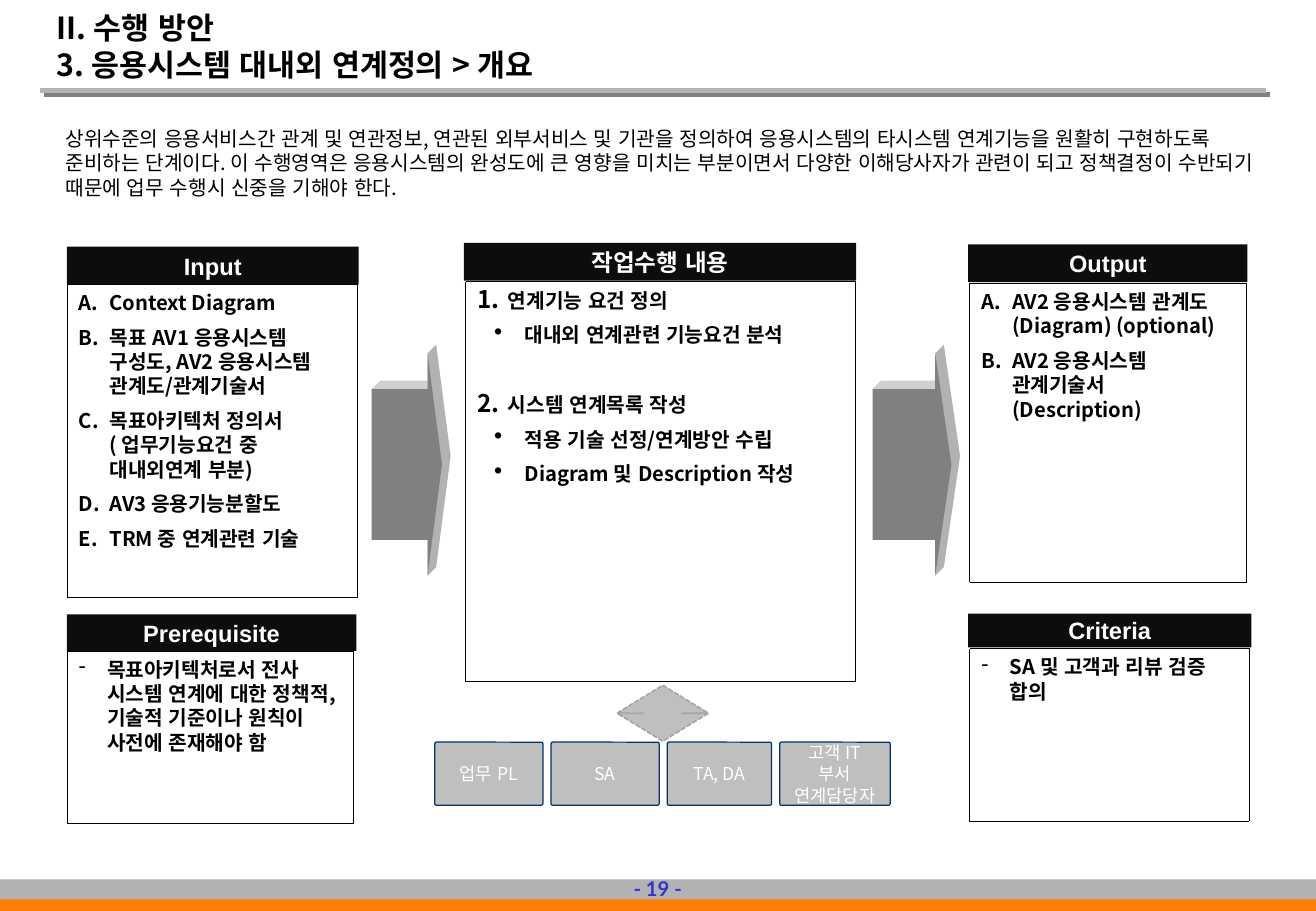
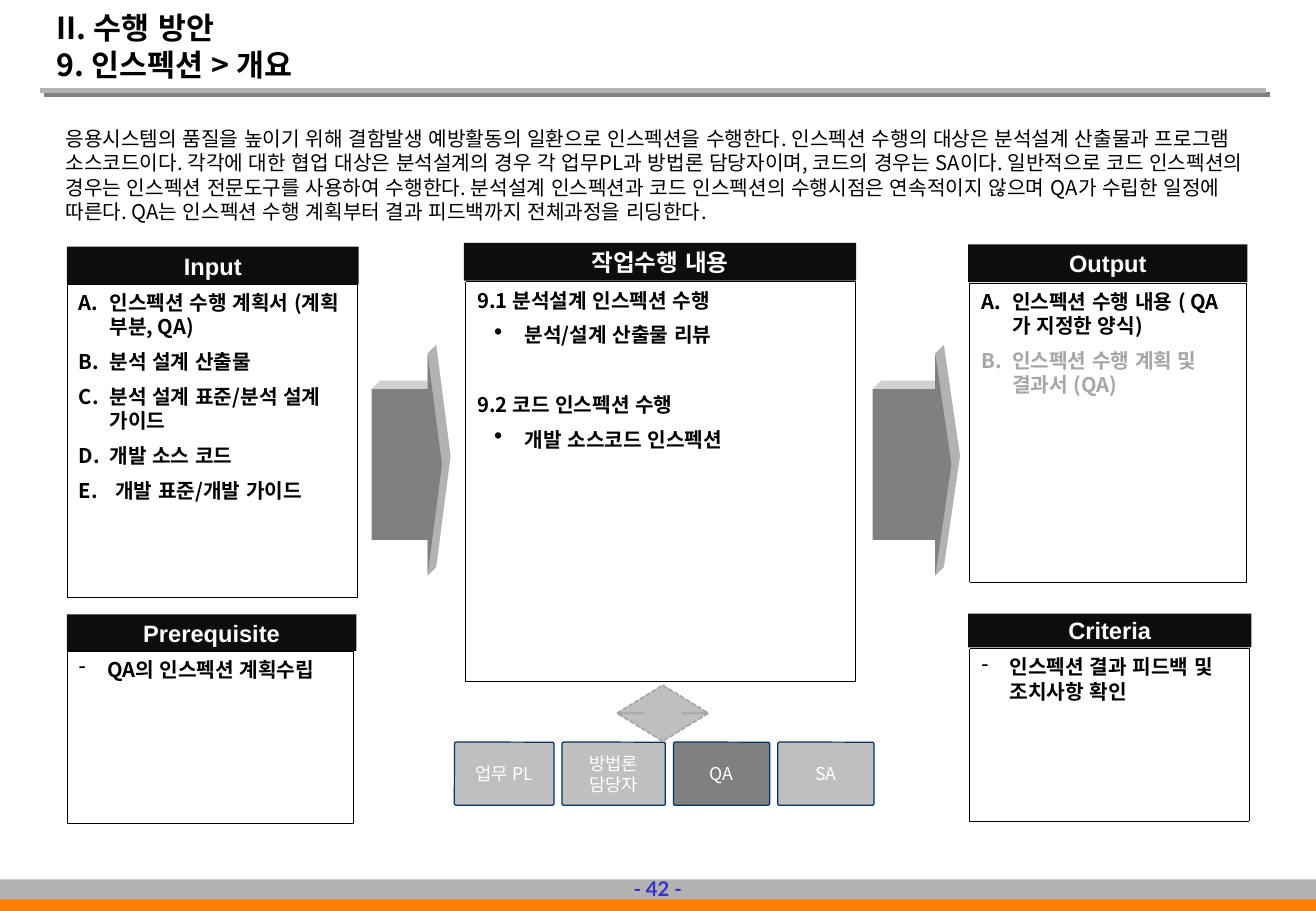
"""Build two overview slides that share one input, work and output frame."""
from dataclasses import dataclass

from lxml import etree
from pptx import Presentation
from pptx import util as u
from pptx.dml.color import RGBColor
from pptx.enum import dml, lang, shapes, text
from pptx.oxml import ns

SLIDES = [
    {
        "page": 19,
        "title": ["II. 수행 방안", "3. 응용시스템 대내외 연계정의 > 개요"],
        "summary": "상위수준의 응용서비스간 관계 및 연관정보, 연관된 외부서비스 및 기관을 정의하여 "
                   "응용시스템의 타시스템 연계기능을 원활히 구현하도록 준비하는 단계이다. "
                   "이 수행영역은 응용시스템의 완성도에 큰 영향을 미치는 부분이면서 다양한 이해당사자가 "
                   "관련이 되고 정책결정이 수반되기 때문에 업무 수행시 신중을 기해야 한다.",
        "작업수행 내용": [
            ("number", "연계기능 요건 정의"),
            ("bullet", "대내외 연계관련 기능요건 분석"),
            ("number", "시스템 연계목록 작성"),
            ("bullet", "적용 기술 선정/연계방안 수립"),
            ("bullet", "Diagram 및 Description 작성"),
        ],
        "Input": [
            ("letter", "Context Diagram"),
            ("letter", "목표 AV1 응용시스템 구성도, AV2 응용시스템 관계도/관계기술서"),
            ("letter", "목표아키텍처 정의서( 업무기능요건 중 대내외연계 부분)"),
            ("letter", "AV3 응용기능분할도"),
            ("letter", "TRM 중 연계관련 기술"),
        ],
        "Output": [
            ("letter", "AV2 응용시스템 관계도(Diagram) (optional)"),
            ("letter", "AV2 응용시스템 관계기술서(Description)"),
        ],
        "Prerequisite": [
            ("dash", "목표아키텍처로서 전사 시스템 연계에 대한 정책적, 기술적 기준이나 원칙이 사전에 존재해야 함"),
        ],
        "Criteria": [("dash", "SA 및 고객과 리뷰 검증 합의")],
        "roles_left": 9.09,
        "roles": [(2.26, ["업무 PL"]), (2.26, ["SA"]), (2.18, ["TA, DA"]),
                  (2.31, ["고객 IT부서", "연계담당자"])],
        "lead_role": None,
    },
    {
        "page": 42,
        "title": ["II. 수행 방안", "9. 인스펙션 > 개요"],
        "summary": "응용시스템의 품질을 높이기 위해 결함발생 예방활동의 일환으로 인스펙션을 수행한다. "
                   "인스펙션 수행의 대상은 분석설계 산출물과 프로그램 소스코드이다. "
                   "각각에 대한 협업 대상은 분석설계의 경우 각 업무PL과 방법론 담당자이며, "
                   "코드의 경우는 SA이다. 일반적으로 코드 인스펙션의 경우는 인스펙션 전문도구를 "
                   "사용하여 수행한다. 분석설계 인스펙션과 코드 인스펙션의 수행시점은 연속적이지 않으며 "
                   "QA가 수립한 일정에 따른다. QA는 인스펙션 수행 계획부터 결과 피드백까지 "
                   "전체과정을 리딩한다.",
        "작업수행 내용": [
            ("heading", "9.1 분석설계 인스펙션 수행"),
            ("bullet", "분석/설계 산출물 리뷰"),
            ("heading", "9.2 코드 인스펙션 수행"),
            ("bullet", "개발 소스코드 인스펙션"),
        ],
        "Input": [
            ("letter", "인스펙션 수행 계획서 (계획 부분, QA)"),
            ("letter", "분석 설계 산출물"),
            ("letter", "분석 설계 표준/분석 설계 가이드"),
            ("letter", "개발 소스 코드"),
            ("letter", " 개발 표준/개발 가이드"),
        ],
        "Output": [
            ("letter", "인스펙션 수행 내용 ( QA가 지정한 양식)"),
            ("muted letter", "인스펙션 수행 계획 및 결과서 (QA)"),
        ],
        "Prerequisite": [("dash", "QA의 인스펙션 계획수립")],
        "Criteria": [("dash", "인스펙션 결과 피드백 및 조치사항 확인")],
        "roles_left": 9.5,
        "roles": [(2.08, ["업무 PL"]), (2.16, ["방법론", "담당자"]), (2.01, ["QA"]), (2.01, ["SA"])],
        "lead_role": "QA",
    },
]

PANELS = {
    "작업수행 내용": ((9.7, 5.08, 8.2, 0.79), (9.73, 5.89, 8.15, 8.36)),
    "Input": ((1.4, 5.16, 6.1, 0.79), (1.4, 5.94, 6.07, 6.55)),
    "Output": ((20.24, 5.11, 5.84, 0.79), (20.27, 5.92, 5.79, 6.25)),
    "Prerequisite": ((1.4, 12.85, 6.05, 0.76), (1.4, 13.61, 5.99, 3.61)),
    "Criteria": ((20.24, 12.83, 5.92, 0.71), (20.27, 13.56, 5.84, 3.61)),
}
FLOW_ARROWS = [(7.77, 7.39, 1.47, 4.65), (18.24, 7.39, 1.65, 4.65)]

LIST_STYLES = {
    "number": (0, 0.64, 0.64, 120, "buAutoNum", {"type": "arabicPeriod"}),
    "letter": (0, 0.64, 0.64, 100, "buAutoNum", {"type": "alphaUcPeriod"}),
    "heading": (0, 0.64, 0.64, 100, "buNone", {}),
    "bullet": (1, 0.99, 0.64, 120, "buChar", {"char": "•"}),
    "dash": (0, 0.59, 0.59, 100, "buChar", {"char": "-"}),
}


@dataclass(frozen=True)
class Theme:
    """Colours, fonts and type sizes."""
    ink: str = "000000"
    white: str = "FFFFFF"
    header: str = "0D0D0D"
    band: str = "B2B2B2"
    accent: str = "FF7D00"
    page: str = "3333CC"
    dark: str = "808080"
    light: str = "D0D0D0"
    role: str = "BFBFBF"
    role_line: str = "003366"
    muted: str = "A6A6A6"
    korean: str = "Noto Sans CJK KR"
    latin: str = "Arial"
    number: str = "Lato"
    title_size: float = 18
    header_size: float = 14
    body_size: float = 12
    role_size: float = 10.5
    leading: float = 1.2
    gap: float = 6.2


THEME = Theme()
SLIDE_WIDTH, SLIDE_HEIGHT = 27.51, 19.05
ROLE_TOP, ROLE_HEIGHT, ROLE_GAP = 15.52, 1.32, 0.17
ARROW_DEPTH, ARROW_SHAFT, ARROW_HEAD = 0.18, 0.678, 0.205
RECTANGLE = shapes.MSO_SHAPE.RECTANGLE
CENTER = text.PP_ALIGN.CENTER
MIDDLE = text.MSO_ANCHOR.MIDDLE


def color(value):
    return RGBColor.from_string(value)


def lengths(values):
    return [u.Cm(value) for value in values]


def paint(shape, fill=None, line=None, width=0.25, dash=None):
    shape.shadow.inherit = False
    if fill:
        shape.fill.solid()
        shape.fill.fore_color.rgb = color(fill)
    else:
        shape.fill.background()
    if line:
        shape.line.color.rgb = color(line)
        shape.line.width = u.Pt(width)
        shape.line.dash_style = dash
    else:
        shape.line.fill.background()
    return shape


def add_box(slide, kind, box, adjustments=(), **style):
    shape = slide.shapes.add_shape(kind, *lengths(box))
    for index, value in enumerate(adjustments):
        shape.adjustments[index] = value
    return paint(shape, **style)


def add_polygon(slide, points, fill):
    first, *rest = [tuple(lengths(point)) for point in points]
    builder = slide.shapes.build_freeform(*first)
    builder.add_line_segments(rest, close=True)
    return paint(builder.convert_to_shape(), fill)


def set_frame(shape, anchor=text.MSO_ANCHOR.TOP, margins=(0.25, 0.13), wrap=True):
    frame = shape.text_frame
    frame.word_wrap = wrap
    frame.vertical_anchor = anchor
    frame.margin_left = frame.margin_right = u.Cm(margins[0])
    frame.margin_top = frame.margin_bottom = u.Cm(margins[1])
    return frame


def next_paragraph(frame, index):
    return frame.add_paragraph() if index else frame.paragraphs[0]


def add_run(paragraph, words, size, ink, bold=False, font=THEME.korean):
    paragraph.line_spacing = u.Pt(size * THEME.leading)
    run = paragraph.add_run()
    run.text = words
    run.font.name = font
    run.font.size = u.Pt(size)
    run.font.bold = bold
    run.font.color.rgb = color(ink)
    run.font.language_id = lang.MSO_LANGUAGE_ID.KOREAN
    east_asian = etree.SubElement(run.font._element, ns.qn("a:ea"))
    east_asian.set("typeface", THEME.korean)


def write_lines(frame, lines, size, ink, bold=False, font=THEME.korean, align=CENTER):
    for index, words in enumerate(lines):
        paragraph = next_paragraph(frame, index)
        paragraph.alignment = align
        add_run(paragraph, words, size, ink, bold, font)


def write_list(frame, items):
    numbered = 0
    for index, (style, words) in enumerate(items):
        name = style.split()[-1]
        level, indent, hanging, scale, tag, attributes = LIST_STYLES[name]
        paragraph = next_paragraph(frame, index)
        paragraph.alignment = text.PP_ALIGN.LEFT
        paragraph.level = level
        properties = paragraph._p.get_or_add_pPr()
        properties.set("marL", str(u.Cm(indent)))
        properties.set("indent", str(-u.Cm(hanging)))
        etree.SubElement(properties, ns.qn("a:buSzPct")).set("val", str(scale * 1000))
        marker = etree.SubElement(properties, ns.qn(f"a:{tag}"), attributes)
        if name == "number":
            numbered += 1
            marker.set("startAt", str(numbered))
        if index:
            new_section = name in ("number", "heading")
            extra = THEME.gap + THEME.body_size * THEME.leading if new_section else 0
            paragraph.space_before = u.Pt(THEME.gap + extra)
        ink = THEME.muted if style.startswith("muted") else THEME.ink
        add_run(paragraph, words, THEME.body_size, ink, bold=True)


def add_title_rule(slide):
    rule = slide.shapes.add_connector(
        shapes.MSO_CONNECTOR.STRAIGHT, *lengths((0.84, 1.9, 26.47, 1.9)))
    rule.line.color.rgb = color(THEME.band)
    rule.line.width = u.Pt(3)
    effects = etree.SubElement(rule._element.spPr, ns.qn("a:effectLst"))
    shadow = etree.SubElement(effects, ns.qn("a:outerShdw"),
                              dist=str(u.Pt(2.8)), dir="2700000", algn="ctr")
    etree.SubElement(shadow, ns.qn("a:srgbClr"), val=THEME.dark)


def add_frame(slide, content):
    add_title_rule(slide)
    add_box(slide, RECTANGLE, (0, 18.64, SLIDE_WIDTH, 0.41), fill=THEME.accent)
    add_box(slide, RECTANGLE, (0, 18.39, SLIDE_WIDTH, 0.43 - 0.01), fill=THEME.band)
    page = slide.shapes.add_textbox(*lengths((13, 18.19, 1.5, 0.79)))
    write_lines(set_frame(page, MIDDLE, (0.15, 0.15), False), [f"- {content['page']} -"],
                THEME.body_size, THEME.page, True, THEME.number)
    title = slide.shapes.add_textbox(*lengths((0.94, 0.58, 20.47, 1.27)))
    write_lines(set_frame(title, text.MSO_ANCHOR.BOTTOM), content["title"],
                THEME.title_size, THEME.ink, True, align=text.PP_ALIGN.LEFT)
    summary = slide.shapes.add_textbox(*lengths((1.12, 2.51, 25.53, 2.41)))
    write_lines(set_frame(summary), [content["summary"]],
                THEME.body_size, THEME.ink, align=text.PP_ALIGN.LEFT)


def add_panel(slide, name, items):
    header_box, body_box = PANELS[name]
    body = add_box(slide, RECTANGLE, body_box, line=THEME.ink, dash=dml.MSO_LINE.ROUND_DOT)
    write_list(set_frame(body), items)
    header = add_box(slide, RECTANGLE, header_box, fill=THEME.header)
    font = THEME.latin if name.isascii() else THEME.korean
    write_lines(set_frame(header, MIDDLE, (0, 0)), [name],
                THEME.header_size, THEME.white, True, font)


def add_flow_arrow(slide, box):
    left, top, width, height = box
    depth, tip, bottom = ARROW_DEPTH, left + width, top + height
    neck = tip - width * ARROW_HEAD
    shaft = top + height * (1 - ARROW_SHAFT) / 2
    add_polygon(slide, [(left, shaft), (left + depth, shaft - depth),
                        (neck, shaft - depth), (neck, shaft)], THEME.light)
    add_polygon(slide, [(neck, top), (neck + depth, top - depth),
                        (tip + depth, top + height / 2 - depth),
                        (neck + depth, bottom - depth), (neck, bottom)], THEME.band)
    add_box(slide, shapes.MSO_SHAPE.RIGHT_ARROW, box, (ARROW_SHAFT, ARROW_HEAD), fill=THEME.dark)


def add_roles(slide, content):
    add_box(slide, shapes.MSO_SHAPE.UP_DOWN_ARROW, (12.9, 14.33, 1.91, 1.17), (0.608, 0.416),
            fill=THEME.role, line=THEME.muted, width=1, dash=dml.MSO_LINE.SQUARE_DOT)
    left = content["roles_left"]
    for width, lines in content["roles"]:
        fill = THEME.dark if lines[0] == content["lead_role"] else THEME.role
        role = add_box(slide, shapes.MSO_SHAPE.ROUNDED_RECTANGLE,
                       (left, ROLE_TOP, width, ROLE_HEIGHT), (0.028,),
                       fill=fill, line=THEME.role_line, width=0.75)
        write_lines(set_frame(role, MIDDLE, (0.29, 0.13)), lines, THEME.role_size, THEME.white)
        left += width + ROLE_GAP


def main():
    presentation = Presentation()
    presentation.slide_width, presentation.slide_height = lengths((SLIDE_WIDTH, SLIDE_HEIGHT))
    for content in SLIDES:
        slide = presentation.slides.add_slide(presentation.slide_layouts[6])
        add_frame(slide, content)
        for name in PANELS:
            add_panel(slide, name, content[name])
        for box in FLOW_ARROWS:
            add_flow_arrow(slide, box)
        add_roles(slide, content)
    presentation.save("out.pptx")


if __name__ == "__main__":
    main()
